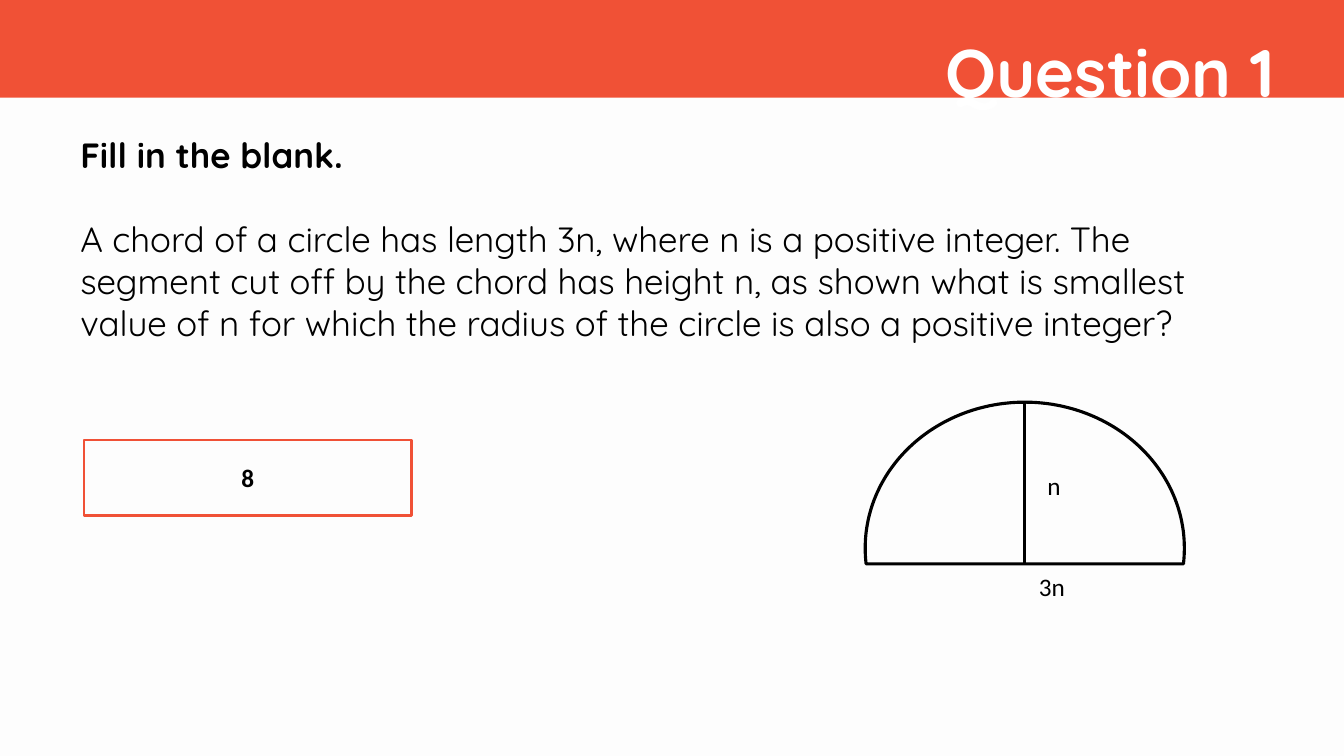
from math import asin, cos, pi, sin

from pptx import Presentation
from pptx.dml.color import RGBColor as RGB
from pptx.enum.shapes import MSO_CONNECTOR as LINE, MSO_SHAPE as SHAPE
from pptx.enum.text import MSO_ANCHOR as ANCHOR, PP_ALIGN as ALIGN
from pptx.oxml.ns import qn
from pptx.util import Pt
from lxml.etree import SubElement as Sub

SCALE = 9525
RED, INK, WHITE, PAPER = "F05136", "000000", "FFFFFF", "FDFDFD"


def px(*nums):
    return [round(n * SCALE) for n in nums]


def tint(part, color):
    part.solid()
    part.fore_color.rgb = RGB.from_string(color)


def write(para, text, size=18, face="Calibri", color=INK, bold=False,
          align=ALIGN.LEFT, before=0):
    para.alignment = align
    if before:
        para.space_before = Pt(before)
    run = para.add_run()
    run.text = text
    font = run.font
    font.size, font.name, font.bold = Pt(size), face, bold
    font.color.rgb = RGB.from_string(color)


class Page:
    """Hold the style and the current slide, and draw its elements."""

    def __init__(self, deck):
        self.slide = deck.slides.add_slide(deck.slide_layouts[6])
        self.shapes = self.slide.shapes
        self.face = "Quicksand"
        self.pen = 2.25
        tint(self.slide.background.fill, PAPER)

    def style(self, shape, fill=None, line=None, width=2.25):
        shape.shadow.inherit = False
        if fill:
            tint(shape.fill, fill)
        else:
            shape.fill.background()
        if line:
            tint(shape.line.fill, line)
            shape.line.width = Pt(width)
        else:
            shape.line.fill.background()

    def rect(self, x, y, w, h, **look):
        shape = self.shapes.add_shape(SHAPE.RECTANGLE, *px(x, y, w, h))
        self.style(shape, **look)
        return shape

    def text(self, x, y, w, h, *paras):
        frame = self.shapes.add_textbox(*px(x, y, w, h)).text_frame
        frame.word_wrap = True
        for i, (words, form) in enumerate(paras):
            para = frame.add_paragraph() if i else frame.paragraphs[0]
            write(para, words, **form)

    def line(self, x1, y1, x2, y2):
        line = self.shapes.add_connector(LINE.STRAIGHT, *px(x1, y1, x2, y2))
        tint(line.line.fill, INK)
        line.line.width = Pt(self.pen)
        Sub(line._element.spPr, qn("a:effectLst"))

    def dome(self, x, y, rx, ry, base, steps=120):
        low = asin((base - y) / ry)
        turns = [low - (pi + 2 * low) * i / steps for i in range(steps + 1)]
        dots = [px(x + rx * cos(t), y + ry * sin(t)) for t in turns]
        build = self.shapes.build_freeform(*dots[0])
        build.add_line_segments(dots[1:], close=True)
        self.style(build.convert_to_shape(), line=INK, width=self.pen)


def main():
    deck = Presentation()
    deck.slide_width, deck.slide_height = px(1280, 720)
    page = Page(deck)
    body = dict(size=25, face=page.face)

    page.text(67, 122, 1145, 211,
              ("Fill in the blank.", dict(body, bold=True, align=ALIGN.JUSTIFY)),
              ("A chord of a circle has length 3n, where n is a positive integer. "
               "The segment cut off by the chord has height n, as shown what is "
               "smallest value of n for which the radius of the circle is also a "
               "positive integer?", dict(body, before=30)))

    page.rect(0, 0, 1280, 93, fill=RED)
    page.text(408, 24, 816, 87,
              ("Question 1", dict(size=48, face=page.face, color=WHITE,
                                  bold=True, align=ALIGN.RIGHT)))

    frame = page.rect(80, 419, 312, 72, line=RED, width=2).text_frame
    frame.vertical_anchor = ANCHOR.MIDDLE
    write(frame.paragraphs[0], "8", bold=True, align=ALIGN.CENTER)

    mid, top, base = 976, 383, 537
    page.dome(mid, 522, 152, 522 - top, base)
    page.line(mid, top, mid, base)
    page.text(988, 443, 72, 38, ("n", {}))
    page.text(980, 539, 72, 38, ("3n", {}))

    deck.save("out.pptx")


if __name__ == "__main__":
    main()
